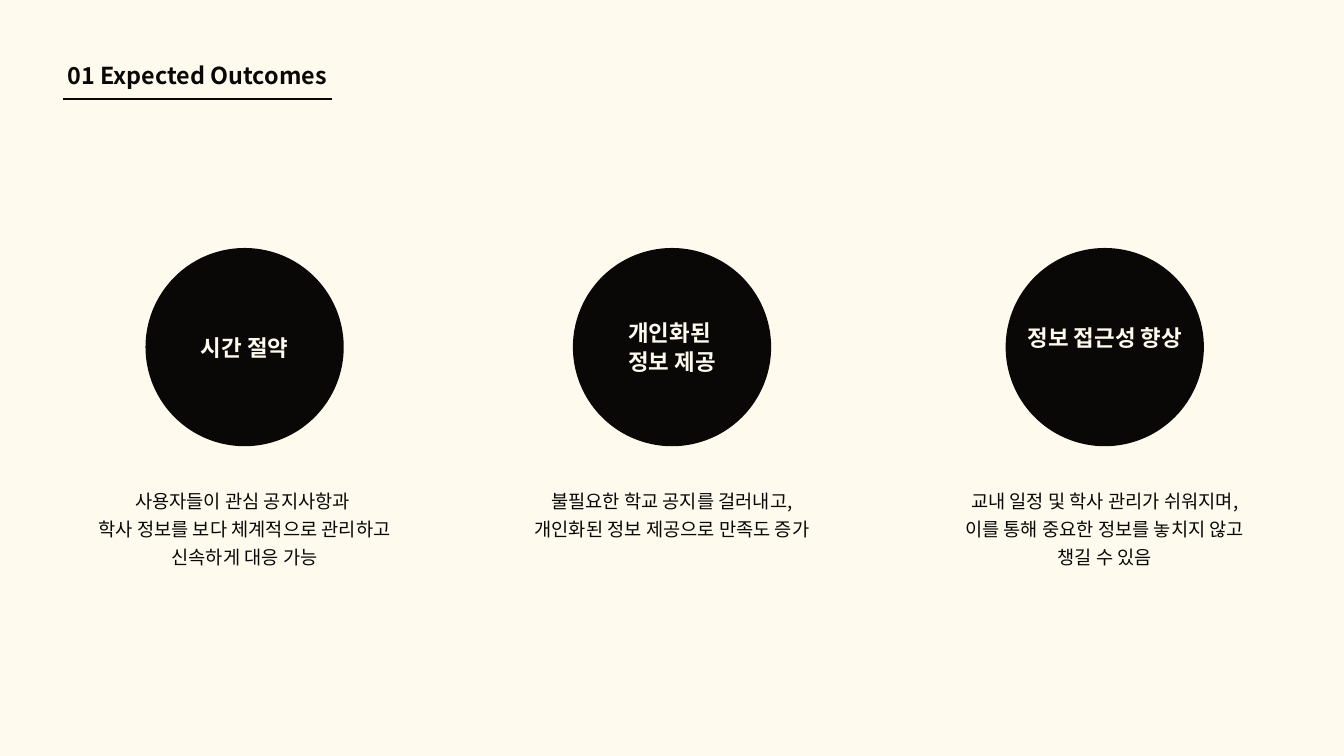
from lxml import etree
from pptx import Presentation
from pptx.dml.color import RGBColor as RGB
from pptx.enum.shapes import MSO_CONNECTOR as Conn, MSO_SHAPE as Shape
from pptx.enum.text import PP_ALIGN as Align
from pptx.oxml.ns import qn
from pptx.util import Inches, Pt

W, H = 20, 11.25
FONT = "Noto Sans CJK SC"
COLORS = {"ink": "090807", "paper": "FEFBEE"}

# Each outcome: column centre (share of width), label top (share of height),
# label lines, caption width (share of width), caption lines
OUTCOMES = [
    (0.182, 0.44, ["시간 절약"], 0.222,
     ["사용자들이 관심 공지사항과 ", "학사 정보를 보다 체계적으로 관리하고 신속하게 대응 가능"]),
    (0.5, 0.42, ["개인화된 ", "정보 제공"], 0.222,
     ["불필요한 학교 공지를 걸러내고, 개인화된 정보 제공으로 만족도 증가"]),
    (0.822, 0.426, ["정보 접근성 향상"], 0.2125,
     ["교내 일정 및 학사 관리가 쉬워지며, 이를 통해 중요한 정보를 놓치지 않고 챙길 수 있음"]),
]
CIRCLE_TOP, CIRCLE_SIZE = 0.328, 2.95
LABEL_WIDTH, CAPTION_TOP = 0.12, 0.64


def color(name):
    return RGB.from_string(COLORS[name])


def across(share):
    return Inches(W * share)


def down(share):
    return Inches(H * share)


def add_text(shapes, x, y, w, h, lines, size, leading, ink="ink",
             bold=False, align=Align.CENTER):
    """Text box without insets; its lines are parted by line breaks."""
    tf = shapes.add_textbox(across(x), down(y), across(w), down(h)).text_frame
    tf.word_wrap = True
    tf.margin_left = tf.margin_right = tf.margin_top = tf.margin_bottom = 0
    p = tf.paragraphs[0]
    p.alignment, p.line_spacing = align, Pt(leading)
    for i, line in enumerate(lines):
        if i:
            p.add_line_break()
        r = p.add_run()
        r.text = line
        r.font.name, r.font.size, r.font.bold = FONT, Pt(size), bold
        r.font.color.rgb = color(ink)
        # Korean glyphs follow the East Asian typeface
        etree.SubElement(r.font._element, qn("a:ea"), typeface=FONT)


def add_circle(shapes, center):
    size = Inches(CIRCLE_SIZE)
    sp = shapes.add_shape(Shape.OVAL, across(center) - size // 2,
                          down(CIRCLE_TOP), size, size)
    sp.shadow.inherit = False
    sp.fill.solid()
    sp.fill.fore_color.rgb = color("ink")
    sp.line.fill.background()


def add_rule(shapes, x1, x2, y):
    line = shapes.add_connector(Conn.STRAIGHT, across(x1), down(y), across(x2), down(y))
    line.line.color.rgb = color("ink")
    line.line.width = Pt(3)
    etree.SubElement(line._element.spPr, qn("a:effectLst"))


def add_outcome(slide, center, label_top, label, caption_width, caption):
    shapes = slide.shapes.add_group_shape().shapes
    add_circle(shapes, center)
    add_text(shapes, center - LABEL_WIDTH / 2, label_top, LABEL_WIDTH,
             0.038 * len(label), label, 24, 30.8, "paper", bold=True)
    add_text(shapes, center - caption_width / 2, CAPTION_TOP, caption_width,
             0.11, caption, 20, 30)


def main():
    prs = Presentation()
    prs.slide_width, prs.slide_height = Inches(W), Inches(H)
    slide = prs.slides.add_slide(prs.slide_layouts[6])
    slide.background.fill.solid()
    slide.background.fill.fore_color.rgb = color("paper")

    # Heading and its underline
    add_rule(slide.shapes, 0.047, 0.247, 0.131)
    add_text(slide.shapes, 0.0505, 0.075, 0.264, 0.041, ["01 Expected Outcomes"],
             25, 35, bold=True, align=Align.LEFT)

    # Three outcomes
    for outcome in OUTCOMES:
        add_outcome(slide, *outcome)

    prs.save("out.pptx")


if __name__ == "__main__":
    main()
